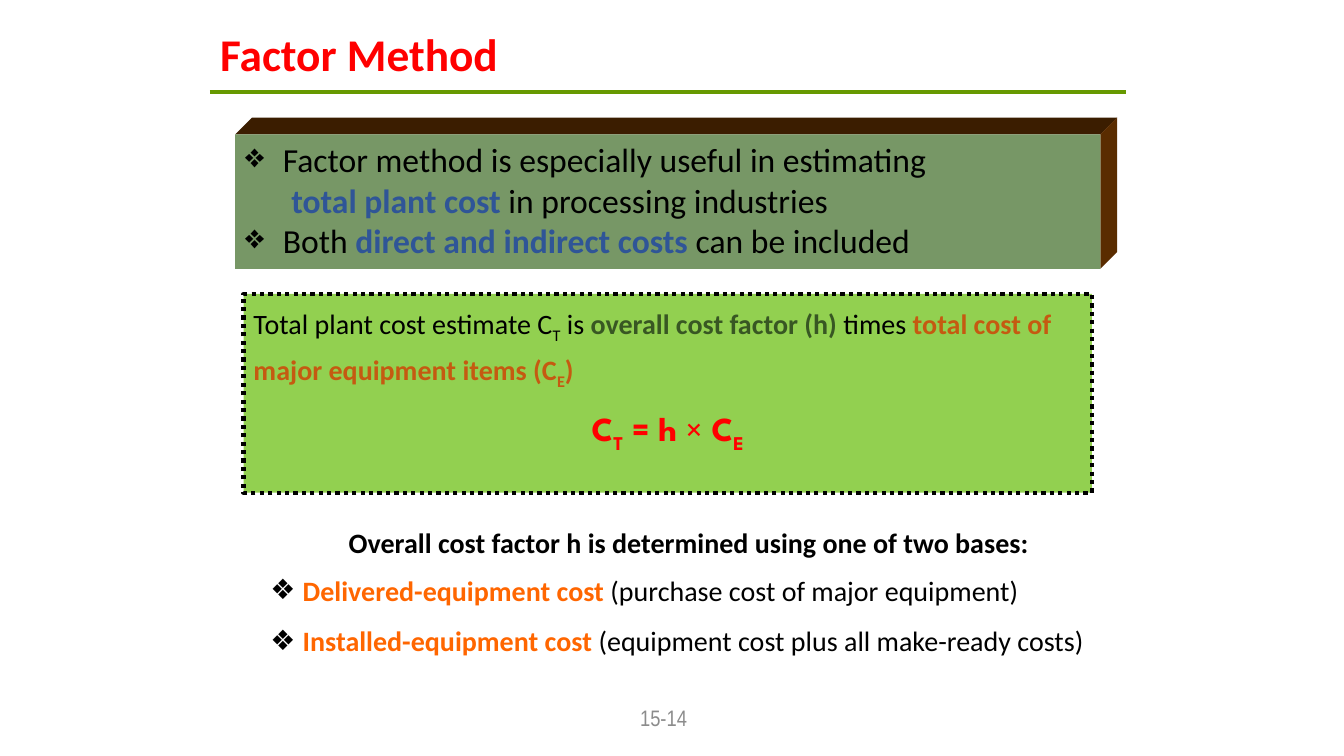
"""Build the Factor Method slide on overall cost factors."""
from dataclasses import dataclass

from lxml.etree import SubElement
from pptx import Presentation
from pptx.dml.color import RGBColor
from pptx.enum.dml import MSO_LINE
from pptx.enum.shapes import MSO_CONNECTOR, MSO_SHAPE
from pptx.enum.text import MSO_ANCHOR, MSO_AUTO_SIZE, PP_ALIGN
from pptx.oxml.ns import qn
from pptx.shapes.autoshape import Shape
from pptx.slide import Slide
from pptx.text.text import TextFrame
from pptx.util import Pt

BLACK, RED, BLUE, ORANGE = "000000", "FF0000", "2F5597", "FF6600"
LEFT, MID = PP_ALIGN.LEFT, PP_ALIGN.CENTER


@dataclass(frozen=True)
class Bit:
    text: str
    color: str = BLACK
    bold: bool = False
    sub: bool = False


@dataclass(frozen=True)
class Para:
    bits: tuple[Bit, ...]
    size: float
    font: str = "Calibri"
    align: PP_ALIGN = LEFT
    bullet: bool = False
    indent: float = 0
    before: float = 0
    lead: float = 1


@dataclass(frozen=True)
class Face:
    points: tuple[tuple[float, float], ...]
    color: str


def paint(target, color: str) -> None:
    if hasattr(target, "solid"):
        target.solid()
        target = target.fore_color
    target.rgb = RGBColor.from_string(color)


def mark(item, para: Para) -> None:
    props = item._p.get_or_add_pPr()
    props.set("marL", str(Pt(para.indent)))
    props.set("indent", str(Pt(-para.indent if para.bullet else 0)))
    if para.bullet:
        tint = SubElement(props, qn("a:buClr"))
        SubElement(tint, qn("a:srgbClr")).set("val", BLACK)
        SubElement(props, qn("a:buChar")).set("char", "❖")
    else:
        SubElement(props, qn("a:buNone"))


def write(frame: TextFrame, paras: list[Para], anchor=MSO_ANCHOR.TOP) -> None:
    frame.word_wrap = True
    frame.auto_size = MSO_AUTO_SIZE.NONE
    frame.vertical_anchor = anchor
    for i, para in enumerate(paras):
        item = frame.add_paragraph() if i else frame.paragraphs[0]
        mark(item, para)
        item.alignment = para.align
        item.line_spacing = para.lead
        item.space_before = Pt(para.before)
        item.space_after = Pt(0)
        item.font.name = para.font
        item.font.size = Pt(para.size)
        colors = {bit.color for bit in para.bits}
        bolds = {bit.bold for bit in para.bits}
        if len(colors) == 1:
            paint(item.font.color, para.bits[0].color)
        if len(bolds) == 1:
            item.font.bold = para.bits[0].bold
        for bit in para.bits:
            run = item.add_run()
            run.text = bit.text
            if len(colors) > 1:
                paint(run.font.color, bit.color)
            if len(bolds) > 1:
                run.font.bold = bit.bold
            if bit.sub:
                run._r.get_or_add_rPr().set("baseline", "-25000")


def place(shape: Shape, x: float, y: float, w: float, h: float) -> None:
    shape.left, shape.top, shape.width, shape.height = map(Pt, (x, y, w, h))


def panel(slide: Slide, x: float, y: float, w: float, h: float, color: str) -> Shape:
    shape = slide.shapes.add_shape(MSO_SHAPE.RECTANGLE, Pt(x), Pt(y), Pt(w), Pt(h))
    shape.shadow.inherit = False
    paint(shape.fill, color)
    shape.line.fill.background()
    return shape


def side(slide: Slide, face: Face) -> None:
    start, *rest = [(Pt(x), Pt(y)) for x, y in face.points]
    pen = slide.shapes.build_freeform(*start, scale=1.0)
    pen.add_line_segments(rest, close=True)
    shape = pen.convert_to_shape()
    shape.shadow.inherit = False
    paint(shape.fill, face.color)
    shape.line.fill.background()


def block(slide: Slide, x: float, y: float, w: float, h: float, deep: float) -> Shape:
    r, b = x + w, y + h
    top = ((x, y), (x + deep, y - deep), (r + deep, y - deep), (r, y))
    right = ((r, y), (r + deep, y - deep), (r + deep, b - deep), (r, b))
    for face in (Face(top, "3B1D00"), Face(right, "5A2C00")):
        side(slide, face)
    return panel(slide, x, y, w, h, "779766")


def rule(slide: Slide, x: float, y: float, end: float) -> None:
    line = slide.shapes.add_connector(MSO_CONNECTOR.STRAIGHT, Pt(x), Pt(y), Pt(end), Pt(y))
    paint(line.line.fill, "669900")
    line.line.width = Pt(3)
    SubElement(line._element.spPr, qn("a:effectLst"))


def main() -> None:
    deck = Presentation()
    deck.slide_width, deck.slide_height = Pt(960), Pt(540)
    slide = deck.slides.add_slide(deck.slide_layouts[1])
    title, body = slide.placeholders

    place(title, 150, 18, 648, 44.64)
    write(title.text_frame, [Para((Bit("Factor Method", RED, True),), 32.4, lead=0.9)],
          MSO_ANCHOR.MIDDLE)
    rule(slide, 150, 66, 804)

    uses = block(slide, 168, 96, 618, 96, 12)
    write(uses.text_frame, [
        Para((Bit("Factor method is especially useful in estimating"),), 24,
             bullet=True, indent=27),
        Para((Bit("total plant cost ", BLUE, True), Bit("in processing industries")), 24,
             indent=33),
        Para((Bit("Both "), Bit("direct and indirect costs ", BLUE, True),
              Bit("can be included")), 24, bullet=True, indent=27),
    ])

    model = panel(slide, 174, 210, 606, 142, "92D050")
    paint(model.line.fill, BLACK)
    model.line.width = Pt(3)
    model.line.dash_style = MSO_LINE.ROUND_DOT
    rust = "C55A11"
    write(model.text_frame, [
        Para((Bit("Total plant cost estimate C"), Bit("T", sub=True), Bit(" is "),
              Bit("overall cost factor (h) ", "385723", True), Bit("times "),
              Bit("total cost of major equipment items (C", rust, True),
              Bit("E", rust, True, True), Bit(")", rust, True)), 20, lead=1.2),
        Para((Bit("C", RED, True), Bit("T", RED, True, True), Bit(" = h ", RED, True),
              Bit("×", RED), Bit(" C", RED, True), Bit("E", RED, True, True)), 24,
             "League Spartan", MID, before=6, lead=1.2),
    ])

    place(body, 186, 372, 612, 124)
    write(body.text_frame, [
        Para((Bit("Overall cost factor h is determined using one of two bases:", bold=True),),
             20, align=MID),
        Para((Bit("Delivered-equipment cost ", ORANGE, True),
              Bit("(purchase cost of major equipment)")), 20,
             bullet=True, indent=23, before=10),
        Para((Bit("Installed-equipment cost ", ORANGE, True),
              Bit("(equipment cost plus all make-ready costs)")), 20,
             bullet=True, indent=23, before=12),
    ])

    page = slide.shapes.add_textbox(Pt(426), Pt(498), Pt(96), Pt(29))
    write(page.text_frame, [Para((Bit("15-14", "8C8C8C"),), 16, "Arial Narrow", MID)],
          MSO_ANCHOR.MIDDLE)
    deck.save("out.pptx")


if __name__ == "__main__":
    main()
